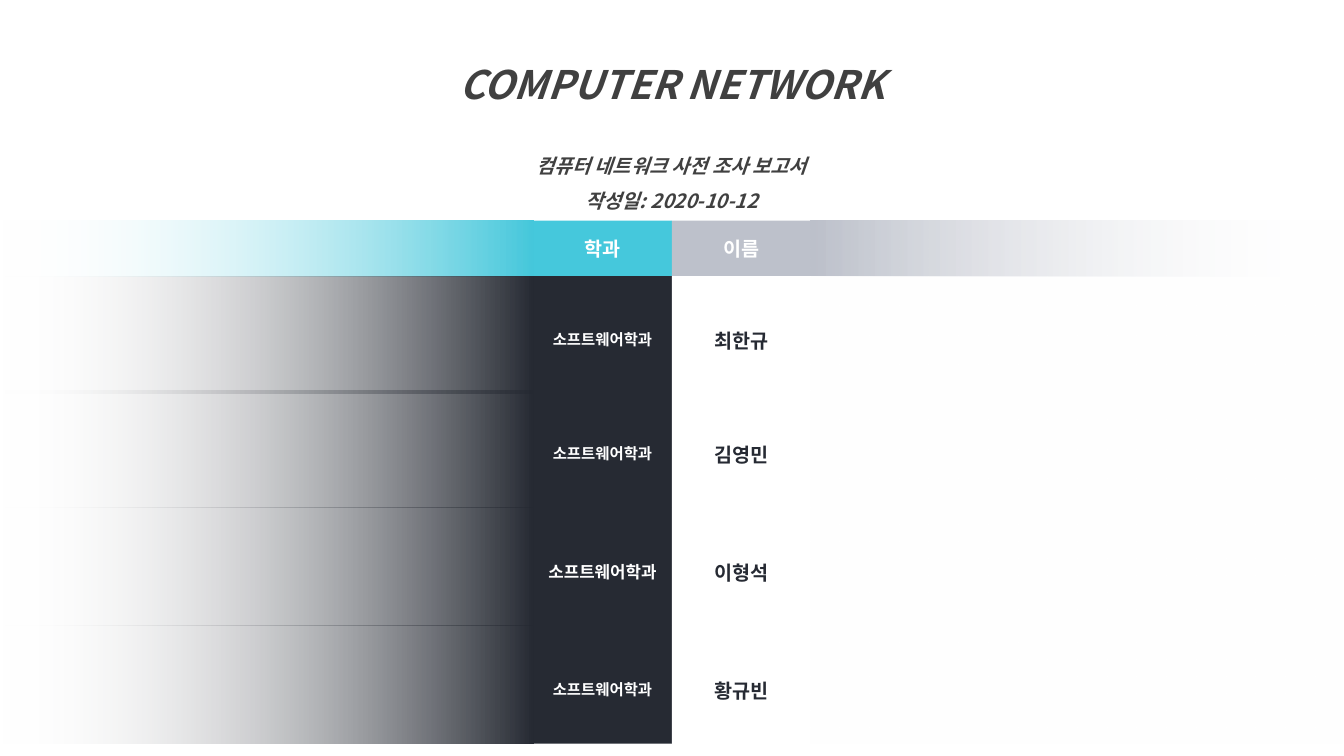
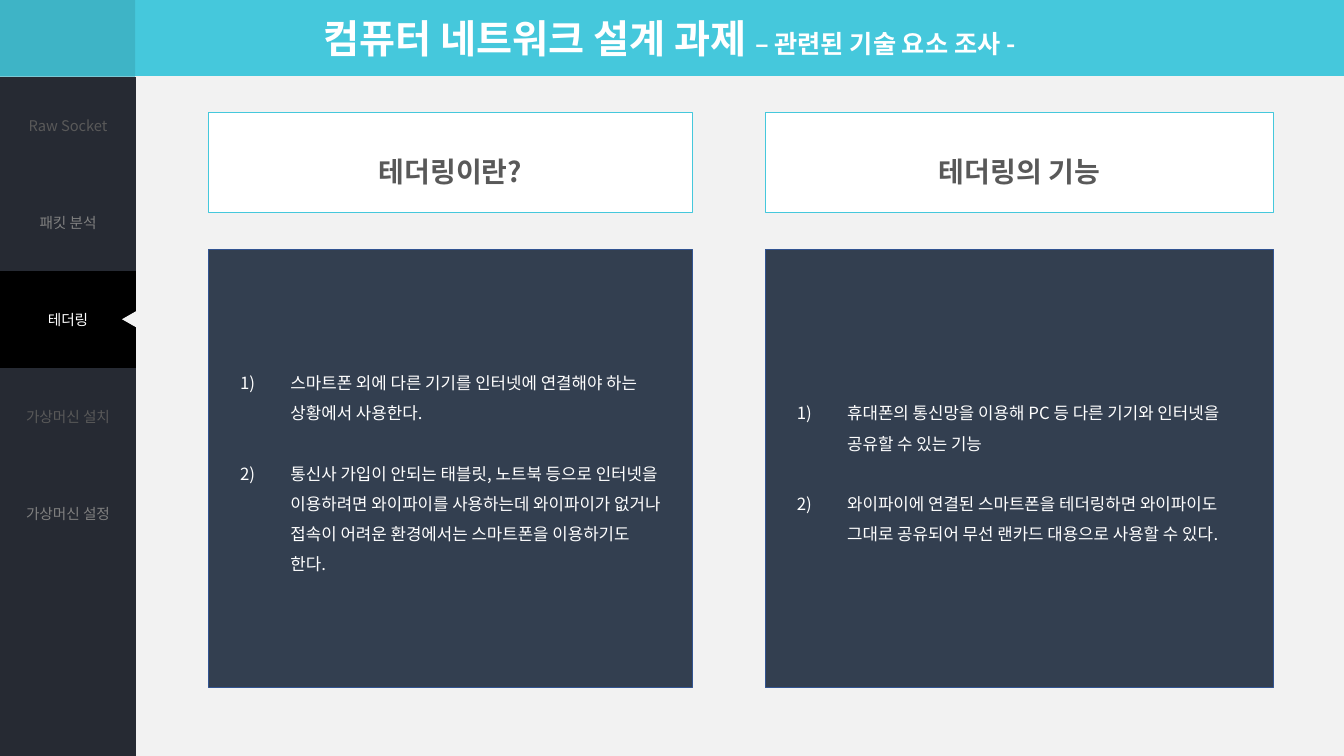
from lxml import etree
from pptx import Presentation
from pptx import util as u
from pptx.dml import color
from pptx.enum import shapes, text
from pptx.oxml import ns

FONT = "Noto Sans CJK KR"
CYAN, CYAN_DARK, SILVER = "45C8DC", "3EB4C6", "BDC1CB"
INK, WHITE, PALE, BLACK = "262A33", "FFFFFF", "F2F2F2", "000000"
NAVY, NAVY_LINE = "333F50", "325491"
GRAY_DARK, GRAY, GRAY_LIGHT = "404040", "595959", "808080"
NO_TABLE_STYLE = "{2D5ABB26-0587-4C30-8999-92F81FD0307C}"

W, H = 33.87, 19.05
CENTER, LEFT = text.PP_ALIGN.CENTER, text.PP_ALIGN.LEFT
MIDDLE, TOP = text.MSO_ANCHOR.MIDDLE, text.MSO_ANCHOR.TOP

COVER = dict(size=u.Pt(14), bold=True, italic=True)
LABEL = dict(size=u.Pt(14), bold=True)
HEADING = dict(size=u.Pt(20), bold=True)
BODY = dict(size=u.Pt(12), bold=False)
MENU = dict(size=u.Pt(10.5), bold=False)


def rgb(hex_color):
    return color.RGBColor.from_string(hex_color)


def set_all(obj, values):
    for name, value in values.items():
        setattr(obj, name, value)


def place(sp, x, y, w, h):
    set_all(sp, dict(left=u.Cm(x), top=u.Cm(y), width=u.Cm(w), height=u.Cm(h)))


def paint(sp, fill, line=None, width=0.75):
    sp.fill.solid()
    sp.fill.fore_color.rgb = rgb(fill)
    if line:
        sp.line.color.rgb = rgb(line)
        sp.line.width = u.Pt(width)
    else:
        sp.line.fill.background()


def add_run(p, words, hex_color, fmt):
    r = p.add_run()
    r.text = words
    set_all(r.font, dict(fmt, name=FONT))
    r.font.color.rgb = rgb(hex_color)
    ea = etree.SubElement(r.font._element, ns.qn("a:ea"))
    ea.set("typeface", FONT)


def write(tf, lines, hex_color, fmt, align=CENTER, spacing=1.5, gap=0,
          anchor=MIDDLE, **frame):
    """Fill a text frame with one paragraph for each line."""
    set_all(tf, dict(frame, word_wrap=True, vertical_anchor=anchor,
                     auto_size=text.MSO_AUTO_SIZE.NONE))
    for i, words in enumerate(lines):
        p = tf.add_paragraph() if i else tf.paragraphs[0]
        set_all(p, dict(alignment=align, line_spacing=spacing,
                        space_before=u.Pt(gap if i else 0), space_after=u.Pt(0)))
        add_run(p, words, hex_color, fmt)


def number(tf, indent):
    """Number the paragraphs 1), 2), ... with a hanging indent."""
    for p in tf.paragraphs:
        pPr = p._p.get_or_add_pPr()
        pPr.set("marL", str(u.Cm(indent)))
        pPr.set("indent", str(-u.Cm(indent)))
        etree.SubElement(pPr, ns.qn("a:buFont")).set("typeface", "+mj-lt")
        etree.SubElement(pPr, ns.qn("a:buAutoNum")).set("type", "arabicParenR")


def add_box(slide, box, fill, kind=shapes.MSO_SHAPE.RECTANGLE):
    sp = slide.shapes.add_shape(kind, *map(u.Cm, box))
    sp.shadow.inherit = False
    paint(sp, fill)
    return sp


def gradient(fill, angle, stops):
    fill.gradient()
    fill.gradient_angle = angle
    for stop, (position, hex_color) in zip(fill.gradient_stops, stops):
        stop.position = position
        stop.color.rgb = rgb(hex_color)


def add_fade(slide, box, hex_color, angle):
    """A band that fades to transparent white."""
    sp = add_box(slide, box, hex_color)
    gradient(sp.fill, angle, [(0, hex_color), (1, WHITE)])
    end = list(sp._element.spPr.iter(ns.qn("a:srgbClr")))[-1]
    etree.SubElement(end, ns.qn("a:alpha")).set("val", "0")


def member_row(slide, y, h, left, right, spacing=1.5):
    """Two cells in the middle, each fading out to its side of the slide."""
    cell_w = 3.5
    side_w = (W - 2 * cell_w) / 2
    for i, (words, fill, ink, size) in enumerate((left, right)):
        sp = add_box(slide, (side_w + i * cell_w, y, cell_w, h), fill)
        write(sp.text_frame, [words], ink, dict(LABEL, size=u.Pt(size)), spacing=spacing)
    add_fade(slide, (W - side_w, y, side_w, h), right[1], 0)
    add_fade(slide, (0, y, side_w, h), left[1], 180)


def cover_slide(prs):
    slide = prs.slides.add_slide(prs.slide_layouts[0])
    title, subtitle = slide.placeholders
    place(title, 9.27, 0.81, 15.32, 2)
    write(title.text_frame, ["COMPUTER NETWORK"], GRAY_DARK,
          dict(COVER, size=u.Pt(28)), anchor=TOP)
    place(subtitle, 9.27, 3.45, 15.32, 2)
    write(subtitle.text_frame, ["컴퓨터 네트워크 사전 조사 보고서", "작성일: 2020-10-12"],
          GRAY_DARK, COVER, anchor=TOP)

    # Header and members
    member_row(slide, 5.56, 1.4, ("학과", CYAN, WHITE, 14),
               ("이름", SILVER, WHITE, 14), spacing=1)
    members = [(6.96, "최한규", 11), (9.83, "김영민", 11),
               (12.8, "이형석", 12), (15.77, "황규빈", 11)]
    for y, name, size in members:
        member_row(slide, y, 2.97, ("소프트웨어학과", INK, WHITE, size),
                   (name, WHITE, INK, 14))


def side_menu(slide, box, items, rows, active):
    x, y, w, h = box
    frame = slide.shapes.add_table(rows, 1, *map(u.Cm, box))
    table = frame.table
    set_all(table, dict(first_row=False, horz_banding=False))
    table._tbl.tblPr.find(ns.qn("a:tableStyleId")).text = NO_TABLE_STYLE
    for i in range(rows):
        cell = table.cell(i, 0)
        cell.fill.solid()
        cell.fill.fore_color.rgb = rgb(BLACK if i == active else INK)
        cell.vertical_anchor = MIDDLE
        if i < len(items):
            words, ink = items[i]
            p = cell.text_frame.paragraphs[0]
            p.alignment = CENTER
            add_run(p, words, ink, MENU)

    # Pointer at the active item
    tri_w, tri_h = 0.41, 0.36
    mid = y + (active + 0.5) * h / rows
    pointer = add_box(slide, (x + w - 0.38, mid - tri_h / 2, tri_w, tri_h), PALE,
                      shapes.MSO_SHAPE.ISOSCELES_TRIANGLE)
    pointer.rotation = 270


def card(head, body, x, y, w, heading, points):
    """A heading box with a numbered list below it."""
    place(head, x, y, w, 2.51)
    paint(head, WHITE, CYAN)
    write(head.text_frame, [heading], GRAY, HEADING)
    place(body, x, y + 3.44, w, 11.05)
    paint(body, NAVY, NAVY_LINE, 1)
    write(body.text_frame, points, WHITE, BODY, align=LEFT, gap=21.5,
          margin_left=u.Cm(0.79), margin_right=u.Cm(0.79))
    number(body.text_frame, 1.27)


def topic_slide(prs):
    slide = prs.slides.add_slide(prs.slide_layouts[4])
    gradient(slide.background.fill, 270, [(0.1, CYAN), (0.1, PALE)])
    title, head_1, body_1, head_2, body_2 = slide.placeholders

    # Title band
    place(title, 7.9, 0.23, 25.4, 1.45)
    write(title.text_frame, ["컴퓨터 네트워크 설계 과제 "], WHITE,
          dict(size=u.Pt(28), bold=True), align=LEFT, spacing=1)
    add_run(title.text_frame.paragraphs[0], "– 관련된 기술 요소 조사 -", WHITE,
            dict(size=u.Pt(18), bold=True))
    add_box(slide, (0, 0, 3.41, 1.93), CYAN_DARK)

    # Menu
    items = [("Raw Socket", GRAY), ("패킷 분석", GRAY_LIGHT), ("테더링", WHITE),
             ("가상머신 설치", GRAY), ("가상머신 설정", GRAY_LIGHT)]
    side_menu(slide, (0, 1.93, 3.43, H - 1.93), items, rows=7, active=2)

    # Cards
    card(head_1, body_1, 5.26, 2.84, 12.19, "테더링이란?", [
        "스마트폰 외에 다른 기기를 인터넷에 연결해야 하는 상황에서 사용한다.",
        "통신사 가입이 안되는 태블릿, 노트북 등으로 인터넷을 이용하려면 와이파이를 "
        "사용하는데 와이파이가 없거나 접속이 어려운 환경에서는 스마트폰을 이용하기도 한다."])
    card(head_2, body_2, 19.29, 2.84, 12.8, "테더링의 기능", [
        "휴대폰의 통신망을 이용해 PC 등 다른 기기와 인터넷을 공유할 수 있는 기능",
        "와이파이에 연결된 스마트폰을 테더링하면 와이파이도 그대로 공유되어 "
        "무선 랜카드 대용으로 사용할 수 있다."])


def main():
    prs = Presentation()
    set_all(prs, dict(slide_width=u.Cm(W), slide_height=u.Cm(H)))
    cover_slide(prs)
    topic_slide(prs)
    prs.save("out.pptx")


if __name__ == "__main__":
    main()
